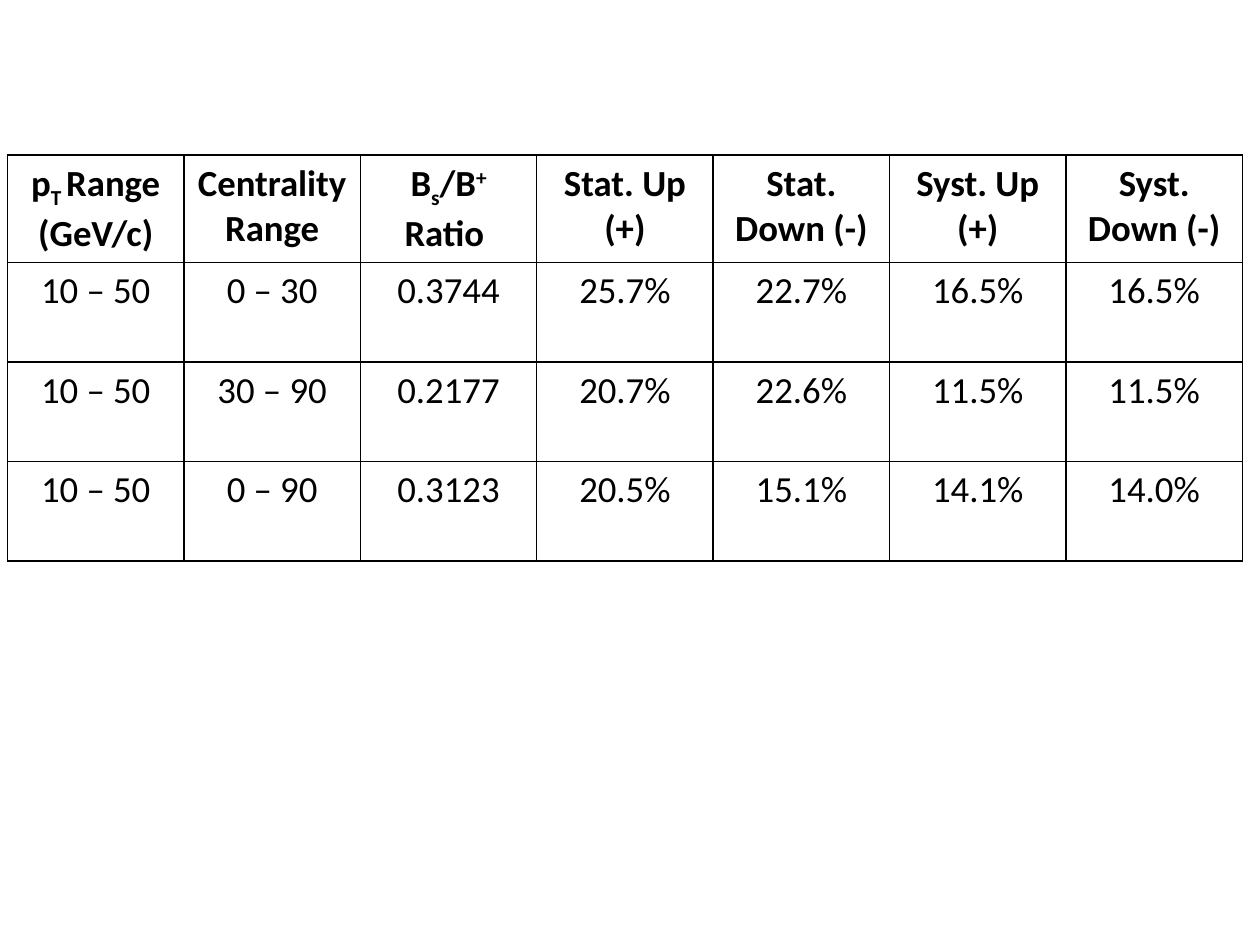
"""Build a slide with a table of Bs/B+ ratios and their uncertainties."""
from lxml import etree
from pptx import Presentation
from pptx.dml.color import RGBColor
from pptx.enum.text import PP_ALIGN
from pptx.oxml.ns import qn
from pptx.util import Inches, Pt

CENTER = PP_ALIGN.CENTER
BLACK = RGBColor(0, 0, 0)
BLANK_LAYOUT = 6
SUBSCRIPT, SUPERSCRIPT = -25000, 30000
BORDER_SIDES = ("a:lnL", "a:lnR", "a:lnT", "a:lnB")

HEADER = [
    [("p", 0), ("T ", SUBSCRIPT), ("Range (GeV/c)", 0)],
    "Centrality Range",
    [("B", 0), ("s", SUBSCRIPT), ("/B", 0), ("+", SUPERSCRIPT), (" Ratio ", 0)],
    "Stat. Up (+)",
    "Stat. Down (-)",
    "Syst. Up (+)",
    "Syst. Down (-)",
]
RESULTS = [
    ["10 – 50", "0 – 30", "0.3744", "25.7%", "22.7%", "16.5%", "16.5%"],
    ["10 – 50", "30 – 90", "0.2177", "20.7%", "22.6%", "11.5%", "11.5%"],
    ["10 – 50", "0 – 90", "0.3123", "20.5%", "15.1%", "14.1%", "14.0%"],
]


class SlideBuilder:
    """Hold the text style and the current slide."""

    def __init__(self, page):
        self.page = page
        self.font_style = {"name": "Calibri", "size": Pt(21)}
        self.border_width = Pt(1)

    def add_text(self, cell, content, bold):
        """Write plain text or (text, baseline) spans into a cell."""
        para = cell.text_frame.paragraphs[0]
        para.alignment = CENTER
        spans = [(content, 0)] if isinstance(content, str) else content
        for text, baseline in spans:
            span = para.add_run()
            span.text = text
            for name, value in {**self.font_style, "bold": bold}.items():
                setattr(span.font, name, value)
            span.font.color.rgb = BLACK
            if baseline:
                span.font._element.set("baseline", str(baseline))

    def add_borders(self, cell):
        """Draw a solid line on each side of a cell."""
        properties = cell._tc.get_or_add_tcPr()
        for position, side in enumerate(BORDER_SIDES):
            line = etree.Element(qn(side), w=str(self.border_width))
            fill = etree.SubElement(line, qn("a:solidFill"))
            etree.SubElement(fill, qn("a:srgbClr"), val=str(BLACK))
            properties.insert(position, line)

    def add_table(self, rows, left, top, column_width, row_height):
        """Add an unfilled, bordered table with a bold first row."""
        count = len(rows[0])
        frame = self.page.shapes.add_table(
            len(rows), count, Inches(left), Inches(top),
            Inches(column_width * count), Inches(row_height * len(rows)))
        table = frame.table
        table.horz_banding = False
        for column in table.columns:
            column.width = Inches(column_width)
        for row_index, contents in enumerate(rows):
            table.rows[row_index].height = Inches(row_height)
            for column_index, content in enumerate(contents):
                cell = table.cell(row_index, column_index)
                cell.fill.background()
                self.add_text(cell, content, bold=row_index == 0)
                self.add_borders(cell)


def main():
    """Create and save the deck."""
    deck = Presentation()
    deck.slide_width, deck.slide_height = Inches(10), Inches(7.5)
    page = deck.slides.add_slide(deck.slide_layouts[BLANK_LAYOUT])
    builder = SlideBuilder(page)
    builder.add_table([HEADER, *RESULTS], 0.06, 1.23, 1.4, 0.79)
    deck.save("out.pptx")


if __name__ == "__main__":
    main()
